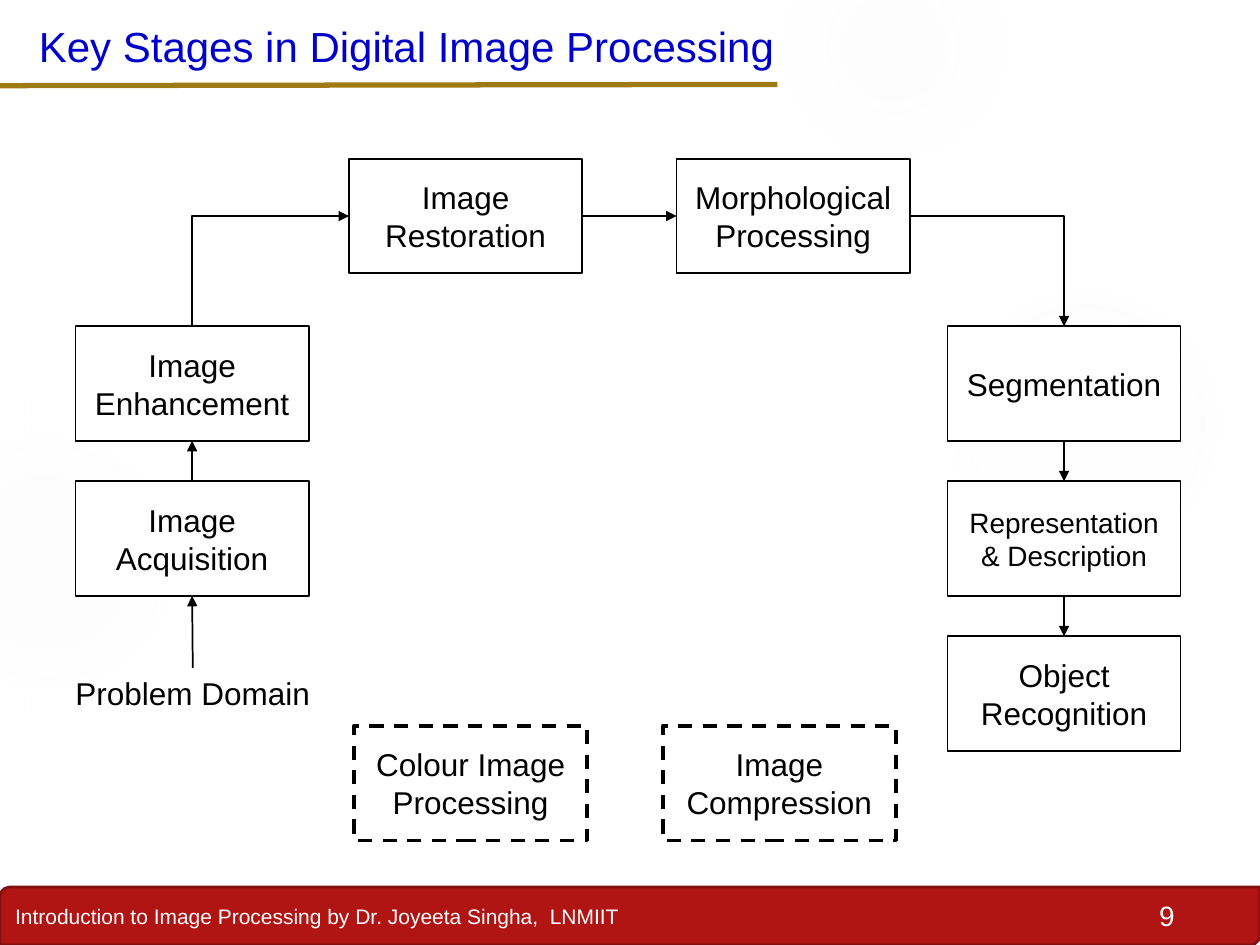
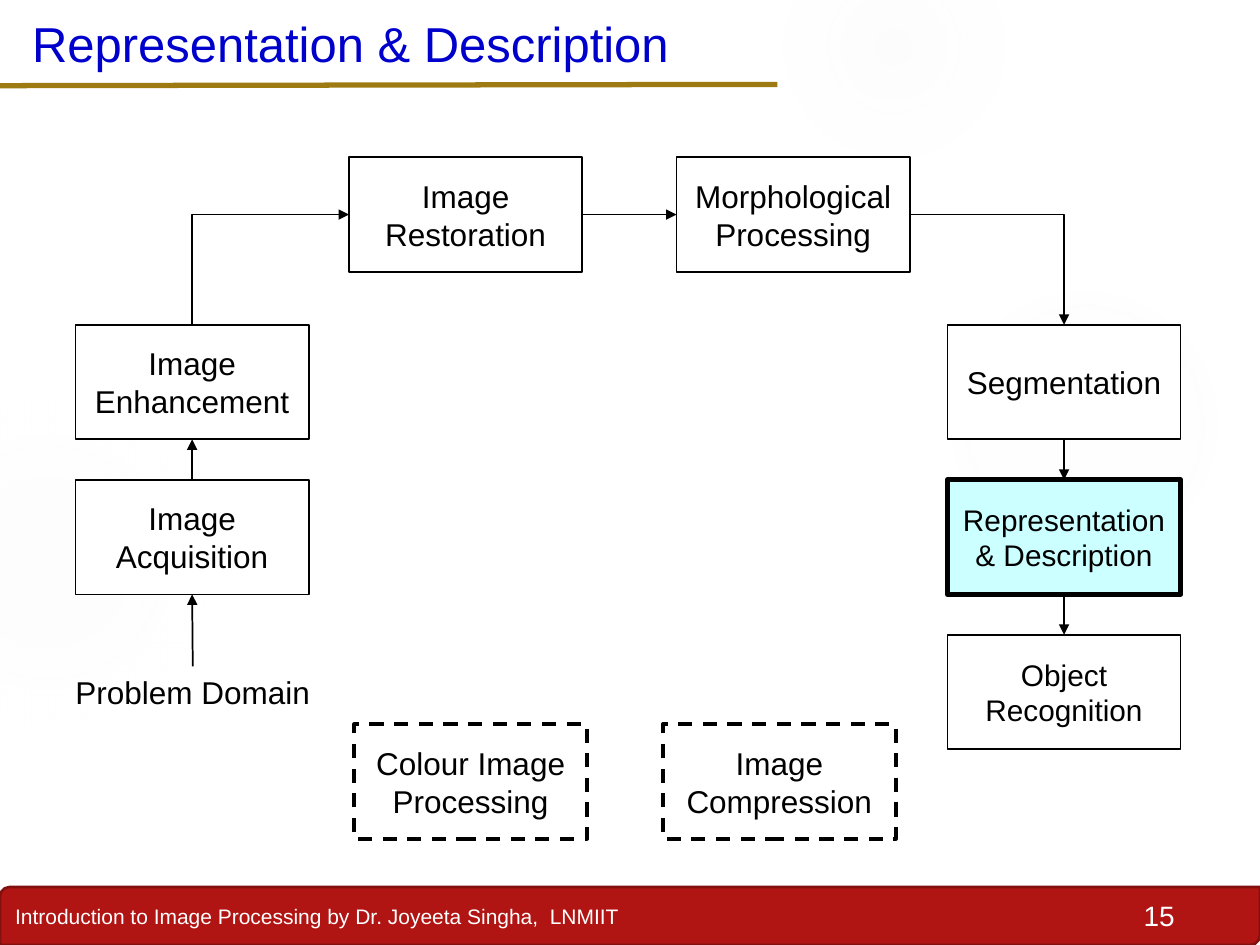
from lxml import etree
from pptx import Presentation
from pptx.dml.color import RGBColor
from pptx.enum.dml import MSO_LINE
from pptx.enum.shapes import MSO_CONNECTOR as CONN, MSO_SHAPE as SHAPE
from pptx.enum.text import MSO_ANCHOR as ANCHOR, PP_ALIGN as ALIGN
from pptx.oxml import parse_xml
from pptx.oxml.ns import nsdecls, qn
from pptx.util import Inches, Pt

W, H = Inches(10), Inches(7.5)
FONT = "Arial"
COLORS = {
    "title": "0000CC", "ink": "000000", "paper": "FFFFFF", "band": "B01513",
    "band_edge": "82100E", "rule": "9E7B12", "glow": "F3F3F3", "active": "CCFFFF",
}
FOOTER = "Introduction to Image Processing by Dr. Joyeeta Singha,  LNMIIT"

# Percent of slide size: left, top, diameter (of width); then (stop, opacity) pairs
GLOWS = [
    (70.7, 24.4, 30.8, [(0, 7), (36, 6), (69, 0)]),
    (62.2, -6.67, 17.5, [(0, 14), (36, 7), (73, 0)]),
    (-9.2, 42.27, 25.8, [(0, 8), (36, 8), (72, 0)]),
]

# Diagram grid, in percent of slide size from the diagram's corner
COLS = [0, 21.7, 47.7, 69.2]
ROWS = [0] + [17.73 + 16.4 * i for i in range(3)]
NODE_W, NODE_H = 18.5, 12.13
STAGES = {
    "Image Acquisition": (0, 2),
    "Image Restoration": (1, 0),
    "Morphological Processing": (2, 0),
    "Segmentation": (3, 1),
    "Object Recognition": (3, 3),
    "Image Enhancement": (0, 1),
    "Representation & Description": (3, 2),
}
SIDE_TOPICS = {"Colour Image Processing": 22.1, "Image Compression": 46.6}
TOP, BOTTOM, LEFT, RIGHT = 0, 2, 1, 3
ARROWS = [
    ("Problem Domain", TOP, "Image Acquisition", BOTTOM),
    ("Image Acquisition", TOP, "Image Enhancement", BOTTOM),
    ("Representation & Description", BOTTOM, "Object Recognition", TOP),
    ("Segmentation", BOTTOM, "Representation & Description", TOP),
    ("Image Restoration", RIGHT, "Morphological Processing", LEFT),
]


def rgb(name):
    return RGBColor.from_string(COLORS[name])


def px(share):
    return round(W * share / 100)


def py(share):
    return round(H * share / 100)


def write(sp, text, size, color="ink", align=ALIGN.LEFT, anchor=ANCHOR.TOP, wrap=True):
    tf = sp.text_frame
    tf.word_wrap, tf.vertical_anchor = wrap, anchor
    p = tf.paragraphs[0]
    p.text, p.alignment = text, align
    font = p.runs[0].font
    font.name, font.size, font.color.rgb = FONT, Pt(size), rgb(color)


def add_text(s, box, text, size, **style):
    x, y, w, h = box
    sp = s.shapes.add_textbox(px(x), py(y), px(w), py(h))
    write(sp, text, size, **style)
    return sp


def add_box(s, kind, box, fill, line, width):
    x, y, w, h = box
    sp = s.shapes.add_shape(kind, px(x), py(y), px(w), py(h))
    sp.shadow.inherit = False
    sp.fill.solid()
    sp.fill.fore_color.rgb = rgb(fill)
    sp.line.color.rgb, sp.line.width = rgb(line), Pt(width)
    return sp


def style_line(conn, color="ink", width=1, arrow=True):
    conn.line.color.rgb, conn.line.width = rgb(color), Pt(width)
    sppr = conn._element.spPr
    if arrow:
        etree.SubElement(sppr.find(qn("a:ln")), qn("a:tailEnd"), type="triangle")
    etree.SubElement(sppr, qn("a:effectLst"))


def add_glow(s, x, y, size, stops):
    sp = s.shapes.add_shape(SHAPE.OVAL, px(x), py(y), px(size), px(size))
    sp.shadow.inherit = False
    sp.line.fill.background()
    gs = "".join(
        f'<a:gs pos="{pos * 1000}"><a:srgbClr val="{COLORS["glow"]}">'
        f'<a:alpha val="{alpha * 1000}"/></a:srgbClr></a:gs>' for pos, alpha in stops)
    grad = parse_xml(
        f'<a:gradFill {nsdecls("a")}><a:gsLst>{gs}</a:gsLst><a:path path="circle">'
        '<a:fillToRect l="50000" t="50000" r="50000" b="50000"/></a:path></a:gradFill>')
    sp._element.spPr.find(qn("a:prstGeom")).addnext(grad)


def add_frame(s, number):
    # Footer band
    band = add_box(s, SHAPE.ROUND_2_DIAG_RECTANGLE, (0, 93.87, 100, 6.13),
                   "band", "band_edge", 1.5)
    write(band, FOOTER, 12, "paper", anchor=ANCHOR.MIDDLE)
    # Background glows
    for glow in GLOWS:
        add_glow(s, *glow)
    # Page number and title rule
    add_text(s, (86.7, 94.4, 7.5, 4.93), str(number), 16, color="paper", align=ALIGN.RIGHT)
    rule = s.shapes.add_connector(CONN.STRAIGHT, px(-0.2), py(9.07), px(61.7), py(8.93))
    style_line(rule, "rule", 3, arrow=False)


def add_bend(s, x1, y1, x2, y2):
    """One-corner arrow: right then down, or turned to go up then right."""
    rising = y2 < y1
    if rising:
        cx, cy = (x1 + x2) // 2, (y1 + y2) // 2
        half_w, half_h = (y1 - y2) // 2, (x2 - x1) // 2
        x1, y1, x2, y2 = cx - half_w, cy - half_h, cx + half_w, cy + half_h
    conn = s.shapes.add_connector(CONN.ELBOW, x1, y1, x2, y2)
    sppr = conn._element.spPr
    sppr.find(qn("a:prstGeom")).set("prst", "bentConnector2")
    if rising:
        sppr.find(qn("a:xfrm")).set("rot", str(270 * 60000))
    style_line(conn)


def add_diagram(s, left, top, sizes, active):
    nodes = {}
    # Stages
    for name, (col, row) in STAGES.items():
        box = (left + COLS[col], top + ROWS[row], NODE_W, NODE_H)
        fill, width = ("active", 3) if name == active else ("paper", 1)
        nodes[name] = add_box(s, SHAPE.RECTANGLE, box, fill, "ink", width)
        write(nodes[name], name, sizes.get(name, 18), align=ALIGN.CENTER, anchor=ANCHOR.MIDDLE)
    nodes["Problem Domain"] = add_text(
        s, (left - 1, top + 53.87, 20.6, 5.33), "Problem Domain", 18, wrap=False)

    # Straight arrows
    for start, out_side, end, in_side in ARROWS:
        conn = s.shapes.add_connector(CONN.STRAIGHT, 0, 0, 0, 0)
        conn.begin_connect(nodes[start], out_side)
        conn.end_connect(nodes[end], in_side)
        style_line(conn)

    # Corner arrows
    first, last = nodes["Image Restoration"], nodes["Morphological Processing"]
    enhance, segment = nodes["Image Enhancement"], nodes["Segmentation"]
    mid_y = first.top + first.height // 2
    add_bend(s, last.left + last.width, mid_y, segment.left + segment.width // 2, segment.top)
    add_bend(s, enhance.left + enhance.width // 2, enhance.top, first.left, mid_y)

    # Side topics
    for name, x in SIDE_TOPICS.items():
        sp = add_box(s, SHAPE.RECTANGLE, (left + x, top + 60, NODE_W, NODE_H), "paper", "ink", 2)
        sp.line.dash_style = MSO_LINE.DASH
        write(sp, name, 18, align=ALIGN.CENTER, anchor=ANCHOR.MIDDLE)


def add_stage_slide(prs, number, title, title_box, title_size, top, sizes, active=None, **style):
    s = prs.slides.add_slide(prs.slide_layouts[6])
    add_frame(s, number)
    add_diagram(s, 6, top, sizes, active)
    add_text(s, title_box, title, title_size, color="title", **style)


def main():
    prs = Presentation()
    prs.slide_width, prs.slide_height = W, H
    described = "Representation & Description"
    add_stage_slide(prs, 9, "Key Stages in Digital Image Processing",
                    (2.1, 1.47, 95.8, 6.67), 24, 16.8, {described: 16})
    add_stage_slide(prs, 15, described, (1.2, 0.8, 53.2, 7.6), 28, 16.64,
                    {described: 17, "Object Recognition": 17}, active=described,
                    align=ALIGN.CENTER, wrap=False)
    prs.save("out.pptx")


if __name__ == "__main__":
    main()
